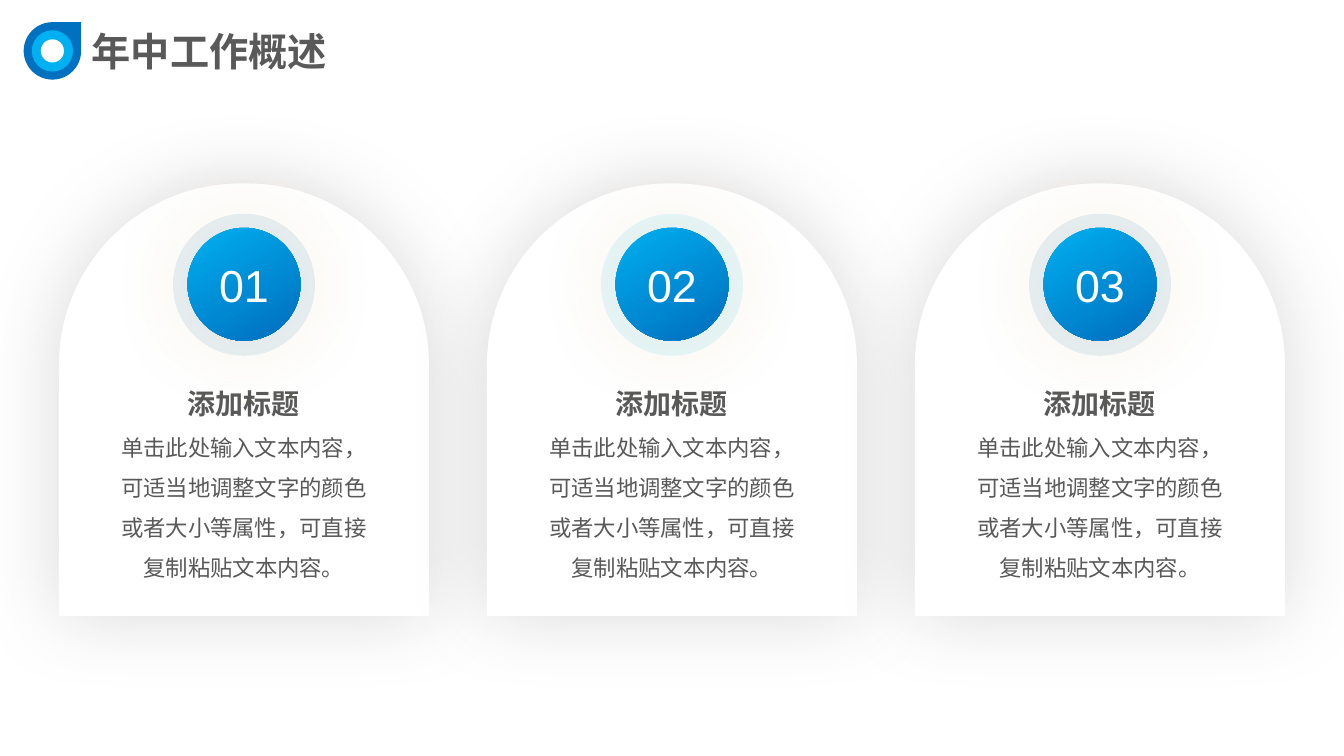
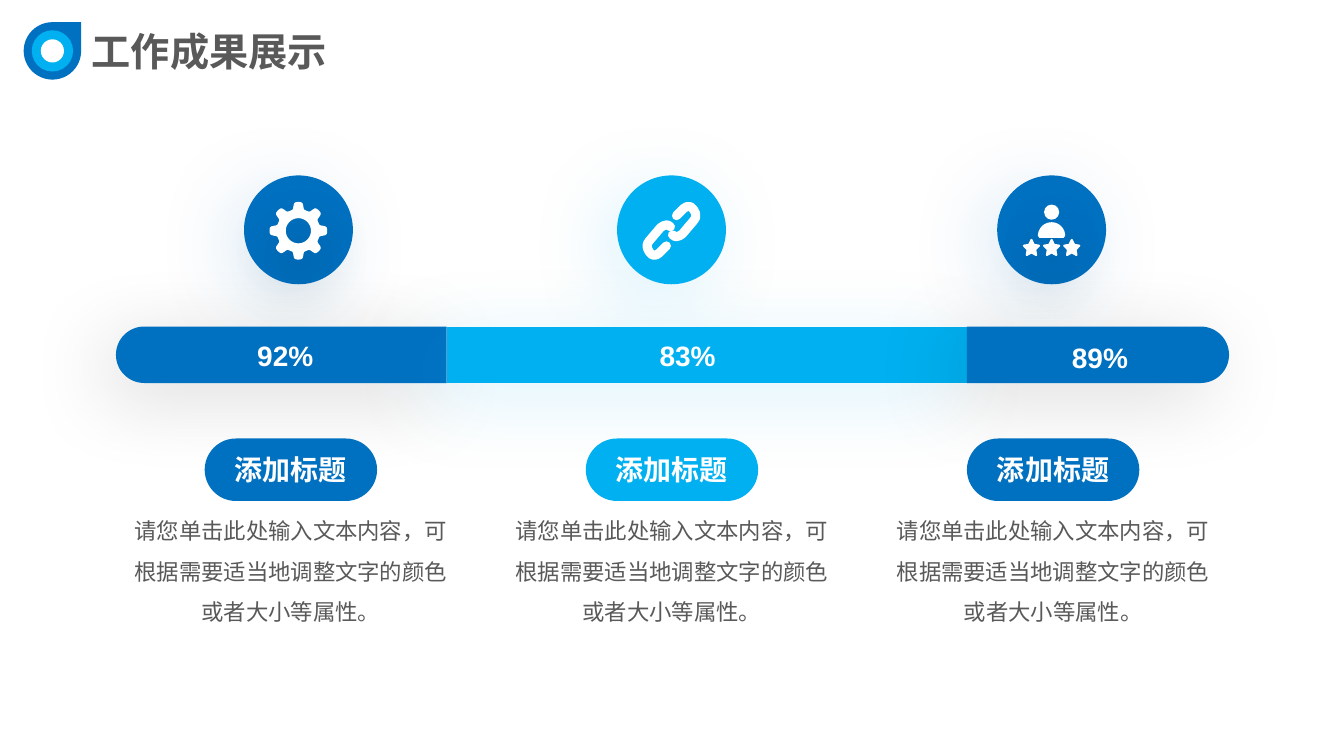
"""Two slides: a midyear overview in three cards and a bar of results."""
import math
import pptx
import pptx.util
import pptx.dml.color
import pptx.enum.shapes
import pptx.enum.text
import lxml.etree

WIDE, HIGH = 13.33, 7.5
MID = WIDE / 2
BLUE, SKY, GREY, WHITE, GOLD = "0070C0", "00B0F0", "595959", "FFFFFF", "FCB142"
BLACK = "000000"
TONES = [BLUE, SKY, BLUE]

LABEL = "添加标题"
TOPICS = {
    "title": "年中工作概述",
    "body": "单击此处输入文本内容，可适当地调整文字的颜色或者大小等属性，可直接复制粘贴文本内容。",
    "marks": ["01", "02", "03"],
}
GAINS = {
    "title": "工作成果展示",
    "body": "请您单击此处输入文本内容，可根据需要适当地调整文字的颜色或者大小等属性。",
    "rates": [("92%", 2.83, 3.31), ("83%", 6.82, 3.31), ("89%", 10.91, 3.33)],
    "discs": [2.96, 6.66, 10.43],
    "cuts": [1.15, 4.43, 9.59, 12.19],
}
LINK = [(0.01, 0.04), (0.04, 0.06), (0.08, 0.05), (0.11, 0.03), (0.22, -0.1),
        (0.24, -0.13), (0.24, -0.17), (0.22, -0.21), (0.19, -0.24),
        (0.15, -0.24), (0.12, -0.22), (0.05, -0.15)]

KIND = pptx.enum.shapes.MSO_SHAPE
ALIGN = pptx.enum.text.PP_ALIGN
ANCHOR = pptx.enum.text.MSO_ANCHOR
inch = pptx.util.Inches


def tint(hue):
    return pptx.dml.color.RGBColor.from_string(hue)


def add_tag(node, name, **attrs):
    space = "{http://schemas.openxmlformats.org/drawingml/2006/main}"
    return lxml.etree.SubElement(node, space + name, {k: str(v) for k, v in attrs.items()})


def cast(shape, hue, alpha, blur, far=0, turn=0):
    effects = shape._element.spPr.find("{*}effectLst")
    shade = add_tag(effects, "outerShdw", blurRad=blur * 12700, dist=far * 12700,
                    dir=turn * 60000, algn="ctr", rotWithShape=0)
    add_tag(add_tag(shade, "srgbClr", val=hue), "alpha", val=alpha * 1000)


def paint(shape, hue, shadow=None):
    shape.shadow.inherit = False
    shape.line.fill.background()
    shape.fill.solid()
    shape.fill.fore_color.rgb = tint(hue)
    if shadow:
        cast(shape, *shadow)
    return shape


def form(slide, kind, mid, top, wide, high, hue, shadow=None):
    shape = slide.shapes.add_shape(
        kind, inch(mid - wide / 2), inch(top), inch(wide), inch(high))
    return paint(shape, hue, shadow)


def trace(slide, *loops, close=True):
    scaled = [[(inch(x), inch(y)) for x, y in loop] for loop in loops]
    pen = slide.shapes.build_freeform(*scaled[0][0])
    for k, loop in enumerate(scaled):
        if k:
            pen.move_to(*loop[0])
        pen.add_line_segments(loop[1:], close=close)
    return pen.convert_to_shape()


def arc(x, y, size, start, end, count=32):
    turns = [math.radians(start + (end - start) * k / count) for k in range(count + 1)]
    return [(x + size * math.cos(t), y + size * math.sin(t)) for t in turns]


def write(shape, lines, hue, align=ALIGN.CENTER, space=None, anchor=ANCHOR.MIDDLE, wrap=True):
    frame = shape.text_frame
    frame.auto_size = pptx.enum.text.MSO_AUTO_SIZE.NONE
    frame.word_wrap = wrap
    frame.vertical_anchor = anchor
    frame.text = "\n".join(line[0] for line in lines)
    for part, (_, size, bold) in zip(frame.paragraphs, lines):
        part.alignment = align
        if space:
            part.line_spacing = space
        font = part.runs[0].font
        font.name, font.size, font.bold = "Arial", pptx.util.Pt(size), bold
        font.color.rgb = tint(hue)
    return frame


def note(slide, mid, top, wide, high, lines, hue=GREY, **style):
    box = slide.shapes.add_textbox(inch(mid - wide / 2), inch(top), inch(wide), inch(high))
    return write(box, lines, hue, anchor=ANCHOR.TOP, **style)


def start(deck, text):
    slide = deck.slides.add_slide(deck.slide_layouts[5])
    title = slide.shapes.title
    title.left, title.top, title.width, title.height = map(inch, (0.81, 0.22, 2.55, 0.57))
    write(title, [(text, 28, True)], GREY, ALIGN.LEFT, anchor=ANCHOR.TOP, wrap=False)
    for kind, size, hue in [(KIND.TEAR, 0.57, BLUE), (KIND.OVAL, 0.41, SKY),
                            (KIND.OVAL, 0.23, WHITE)]:
        form(slide, kind, 0.52, 0.505 - size / 2, size, size, hue)
    return slide


def draw_card(slide, mid, mark, hue):
    card = form(slide, KIND.ROUND_2_SAME_RECTANGLE, mid, 1.82, 3.67, 4.29, WHITE,
                (BLACK, 15, 60))
    card.adjustments[0] = 0.49
    note(slide, mid, 3.62, 2.74, 2.17,
         [(LABEL, 20, True), (TOPICS["body"], 16, False)], space=1.5)
    glow = (GOLD, 15, 60)
    ring = form(slide, KIND.OVAL, mid, 2.12, 1.41, 1.41, hue, glow)
    add_tag(ring._element.spPr.find("{*}solidFill")[0], "alpha", val=10000)
    disc = form(slide, KIND.OVAL, mid, 2.26, 1.12, 1.12, SKY, glow)
    disc.fill.gradient()
    disc.fill.gradient_angle = 300
    for stop, spot, tone in zip(disc.fill.gradient_stops, (0, 0.95), (SKY, BLUE)):
        stop.position, stop.color.rgb = spot, tint(tone)
    write(disc, [(mark, 32, False)], WHITE)


def draw_gear(slide, x, y):
    rim = []
    for k in range(160):
        turn = math.tau * k / 160
        size = 0.25 + 0.036 * math.tanh(2.5 * math.cos(8 * turn))
        rim.append((x + size * math.cos(turn), y + size * math.sin(turn)))
    paint(trace(slide, rim, arc(x, y, 0.125, 360, 0)), WHITE, (BLACK, 20, 40, 20, 90))


def draw_link(slide, x, y):
    for sign in (1, -1):
        ring = trace(slide, [(x + sign * a, y + sign * b) for a, b in LINK], close=False)
        ring.shadow.inherit = False
        ring.fill.background()
        ring.line.color.rgb = tint(WHITE)
        ring.line.width = pptx.util.Pt(6.5)
        edge = ring.line._get_or_add_ln()
        edge.set("cap", "rnd")
        add_tag(edge, "round")


def draw_star(slide, x, y):
    shadow = (BLACK, 20, 40, 20, 90)
    form(slide, KIND.OVAL, x, y - 0.26, 0.15, 0.15, WHITE, shadow)
    dome = arc(x, y + 0.05, 0.135, 180, 360) + [(x + 0.12, y + 0.07), (x - 0.12, y + 0.07)]
    paint(trace(slide, dome), WHITE, shadow)
    for k in (-1, 0, 1):
        star = form(slide, KIND.STAR_5_POINT, x + 0.2 * k, y + 0.09, 0.15, 0.15, WHITE, shadow)
        star.adjustments[0] = 0.25
        star.line.color.rgb = tint(WHITE)
        star.line.width = pptx.util.Pt(1.5)
        add_tag(star.line._get_or_add_ln(), "round")


def draw_bar(slide, top=3.24, high=0.56):
    half = high / 2
    left, one, two, right = GAINS["cuts"]
    base = top + high
    parts = [
        [(one, top), (one, base)] + arc(left + half, top + half, half, 90, 270),
        [(one, top), (two, top), (two, base), (one, base)],
        [(two, base), (two, top)] + arc(right - half, top + half, half, -90, 90),
    ]
    for points, hue, shade in zip(parts, TONES, (BLACK, SKY, BLACK)):
        paint(trace(slide, points), hue, (shade, 15, 60, 15, 135))


def draw_gains(slide):
    draw_bar(slide)
    for mid, hue in zip(GAINS["discs"], TONES):
        form(slide, KIND.OVAL, mid, 1.74, 1.08, 1.08, hue, (hue, 15, 60, 15, 135))
    for mid, draw in zip(GAINS["discs"], (draw_gear, draw_link, draw_star)):
        draw(slide, mid, 2.29)
    for text, mid, top in GAINS["rates"]:
        note(slide, mid, top, 0.76, 0.44, [(text, 20, True)], WHITE, wrap=False)
    for k, hue in enumerate(TONES):
        mid = MID + 3.78 * (k - 1)
        frame = note(slide, mid, 5, 3.18, 1.16, [(GAINS["body"], 16, False)], space=1.5)
        frame.margin_left = frame.margin_right = frame.margin_top = frame.margin_bottom = 0
        pill = form(slide, KIND.ROUNDED_RECTANGLE, mid, 4.35, 1.71, 0.62, hue)
        pill.adjustments[0] = 0.5
        write(pill, [(LABEL, 20, True)], WHITE)


def main():
    deck = pptx.Presentation()
    deck.slide_width, deck.slide_height = inch(WIDE), inch(HIGH)
    slide = start(deck, TOPICS["title"])
    for k, mark in enumerate(TOPICS["marks"]):
        draw_card(slide, MID + 4.245 * (k - 1), mark, TONES[k])
    draw_gains(start(deck, GAINS["title"]))
    deck.save("out.pptx")


main()
